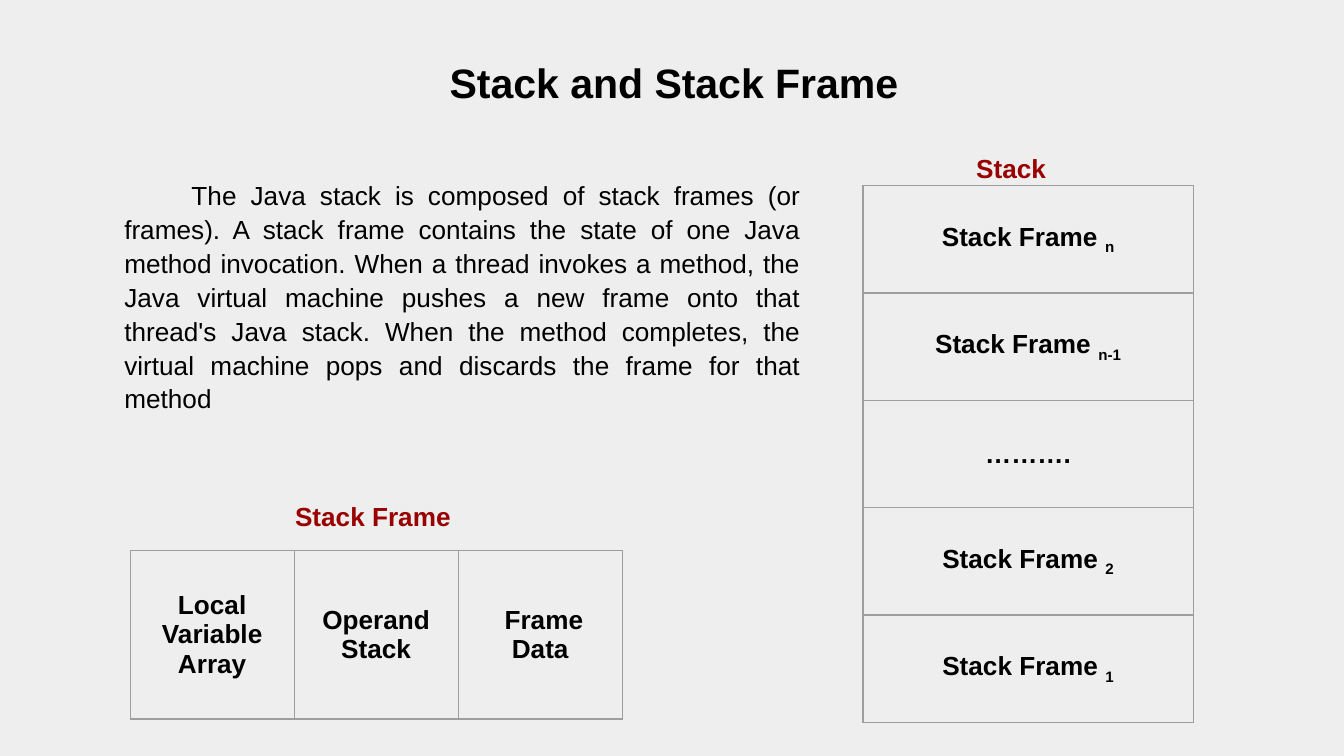
import pptx
import pptx.util
import pptx.dml.color
import pptx.enum.text
import lxml.etree
from pptx.oxml.ns import qn
from pptx.util import Cm, Pt

COLORS = {"background": "EEEEEE", "text": "000000", "label": "990000", "border": "9E9E9E"}
ALIGN = pptx.enum.text.PP_ALIGN
MARGIN = Cm(0.25)
BODY = (
    "The Java stack is composed of stack frames (or frames). A stack frame contains "
    "the state of one Java method invocation. When a thread invokes a method, the Java "
    "virtual machine pushes a new frame onto that thread's Java stack. When the method "
    "completes, the virtual machine pops and discards the frame for that method"
)
STACK = [("Stack Frame ", "n"), ("Stack Frame ", "n-1"), ("……….", ""),
         ("Stack Frame ", "2"), ("Stack Frame ", "1")]
FRAME_PARTS = ["Local Variable Array", "Operand Stack", " Frame Data"]


def rgb(name):
    return pptx.dml.color.RGBColor.from_string(COLORS[name])


def set_margins(target):
    for side in ("left", "right", "top", "bottom"):
        setattr(target, f"margin_{side}", MARGIN)


def add_run(p, text, size=14, color="text", bold=True):
    r = p.add_run()
    r.text = text
    for name, value in {"name": "Arial", "size": Pt(size), "bold": bold}.items():
        setattr(r.font, name, value)
    r.font.color.rgb = rgb(color)
    return r


def add_text(s, box, text, align=ALIGN.CENTER, **style):
    sp = s.shapes.add_textbox(*map(Cm, box))
    tf = sp.text_frame
    tf.word_wrap = True
    tf.auto_size = pptx.enum.text.MSO_AUTO_SIZE.SHAPE_TO_FIT_TEXT
    set_margins(tf)
    p = tf.paragraphs[0]
    p.alignment = align
    add_run(p, text, **style)
    return p


def add_borders(cell):
    tcPr = cell._tc.get_or_add_tcPr()
    for index, side in enumerate(("lnL", "lnR", "lnT", "lnB")):
        ln = lxml.etree.Element(qn(f"a:{side}"), w=str(Pt(0.75)))
        fill = lxml.etree.SubElement(ln, qn("a:solidFill"))
        lxml.etree.SubElement(fill, qn("a:srgbClr"), val=COLORS["border"])
        tcPr.insert(index, ln)


def fill_cell(cell, text, subscript=""):
    cell.fill.background()
    add_borders(cell)
    set_margins(cell)
    cell.vertical_anchor = pptx.enum.text.MSO_ANCHOR.MIDDLE
    p = cell.text_frame.paragraphs[0]
    p.alignment = ALIGN.CENTER
    add_run(p, text)
    if subscript:
        add_run(p, subscript)._r.get_or_add_rPr().set("baseline", "-25000")


def add_grid(s, left, top, col_width, row_height, rows):
    """Add a table of equal cells; each cell is a (text, subscript) tuple."""
    n_rows, n_cols = len(rows), len(rows[0])
    table = s.shapes.add_table(n_rows, n_cols, Cm(left), Cm(top),
                               Cm(col_width * n_cols), Cm(row_height * n_rows)).table
    table.first_row = table.horz_banding = False
    for column in table.columns:
        column.width = Cm(col_width)
    for row, contents in zip(table.rows, rows):
        row.height = Cm(row_height)
        for cell, content in zip(row.cells, contents):
            fill_cell(cell, *content)


def main():
    prs = pptx.Presentation()
    prs.slide_width, prs.slide_height = Cm(25.4), Cm(14.29)
    s = prs.slides.add_slide(prs.slide_layouts[6])
    s.background.fill.solid()
    s.background.fill.fore_color.rgb = rgb("background")

    add_text(s, (0.84, 0.84, 23.8, 1.45), "Stack and Stack Frame", size=22)
    p = add_text(s, (2.1, 3.1, 13.28, 5.9), BODY, ALIGN.JUSTIFY, bold=False)
    p.line_spacing = 1.08
    p._p.get_or_add_pPr().set("indent", str(Cm(1.27)))

    add_grid(s, 16.31, 3.51, 6.24, 2.03, [[frame] for frame in STACK])
    add_text(s, (16.61, 2.64, 5, 1.12), "Stack", color="label")
    add_grid(s, 2.46, 10.41, 3.1, 3.18, [[(part,) for part in FRAME_PARTS]])
    add_text(s, (4.55, 9.2, 5, 1.12), "Stack Frame", color="label")

    prs.save("out.pptx")


if __name__ == "__main__":
    main()
